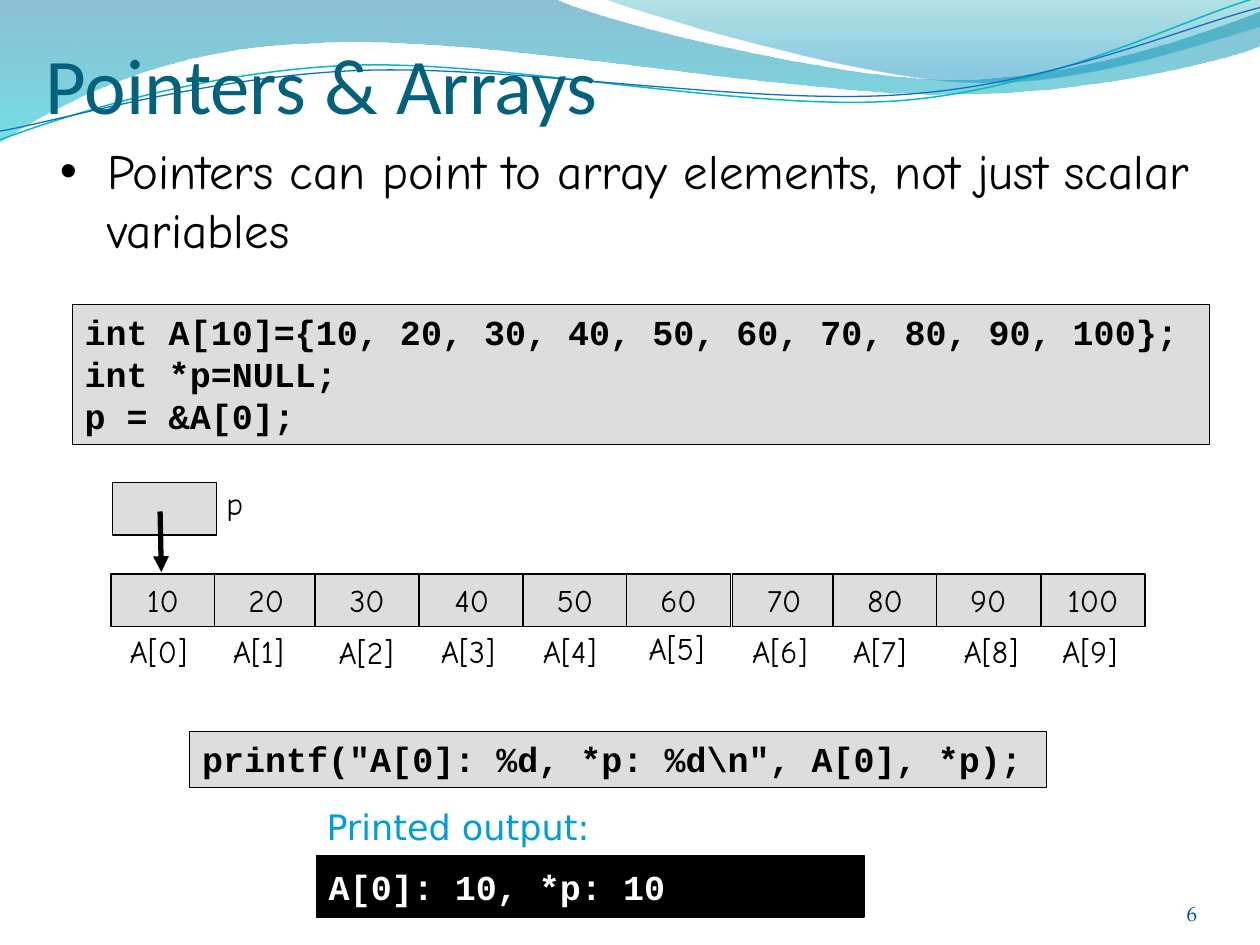
from dataclasses import dataclass

import pptx
import pptx.dml.color
import pptx.enum.shapes
import pptx.enum.text
import pptx.oxml
import pptx.oxml.ns
import pptx.util

Pt = pptx.util.Pt
Align = pptx.enum.text.PP_ALIGN
Anchor = pptx.enum.text.MSO_ANCHOR


@dataclass(frozen=True)
class Type:
    font: str
    size: float
    color: str
    bold: bool = False


@dataclass(frozen=True)
class Theme:
    panel: str = "DDDDDD"
    ink: str = "000000"
    upper_wave: tuple = (("0074A1", 45), ("00C6CF", 55), 1)
    lower_wave: tuple = (("00A1A9", 30), ("008BBF", 45), 0.8)
    teal_line: str = "0AB8BF"
    blue_line: str = "0F6FC6"
    bullet_font: str = "Arial"
    title: Type = Type("Calibri", 45, "04617B")
    body: Type = Type("Comic Neue", 28, "000000")
    label: Type = Type("Comic Neue", 18, "000000")
    code: Type = Type("Courier New", 20, "000000", True)
    console: Type = Type("Courier New", 20, "FFFFFF", True)
    caption: Type = Type("DejaVu Sans", 20, "009DD9")
    number: Type = Type("TeX Gyre Pagella", 12, "045D75")


@dataclass(frozen=True)
class Box:
    left: float
    top: float
    width: float
    height: float

    def inner(self, left, top, width, height):
        return Box(self.left + left, self.top + top, width, height)

    def lengths(self):
        return [Pt(value) for value in (self.left, self.top, self.width, self.height)]


THEME = Theme()


def rgb(value):
    return pptx.dml.color.RGBColor.from_string(value)


def new_element(parent, tag, **attributes):
    return parent.makeelement(pptx.oxml.ns.qn(tag), attributes)


def write(shape, lines, style, anchor=Anchor.TOP, align=Align.LEFT, wrap=True, margins=None):
    frame = shape.text_frame
    frame.word_wrap = wrap
    frame.vertical_anchor = anchor
    if margins:
        frame.margin_left, frame.margin_top, frame.margin_right, frame.margin_bottom = map(Pt, margins)
    frame.text = "\n".join(lines)
    for para in frame.paragraphs:
        para.alignment = align
        para.font.name = style.font
        para.font.size = Pt(style.size)
        para.font.bold = style.bold
        para.font.color.rgb = rgb(style.color)
    return frame


def add_text(page, box, text, style, **layout):
    return write(page.shapes.add_textbox(*box.lengths()), [text], style, **layout)


def add_panel(page, box, lines=(), style=THEME.code, fill=THEME.panel, **layout):
    shape = page.shapes.add_shape(pptx.enum.shapes.MSO_SHAPE.RECTANGLE, *box.lengths())
    shape.shadow.inherit = False
    shape.fill.solid()
    shape.fill.fore_color.rgb = rgb(fill)
    shape.line.color.rgb = rgb(THEME.ink)
    shape.line.width = Pt(0.75)
    if lines:
        write(shape, lines, style, **layout)


def add_outline(page, box, start, segments, closed):
    points = [start] + [point for segment in segments for point in segment]
    placed = [(Pt(box.left + x), Pt(box.top + y)) for x, y in points]
    builder = page.shapes.build_freeform(*placed[0])
    builder.add_line_segments(placed[1:], close=closed)
    shape = builder.convert_to_shape()
    shape.shadow.inherit = False
    corners = iter(list(shape._element.spPr.iter(pptx.oxml.ns.qn("a:lnTo"))))
    for segment in segments:
        steps = [next(corners) for point in segment]
        if len(steps) == 3:
            curve = new_element(steps[0], "a:cubicBezTo")
            steps[0].addprevious(curve)
            for step in steps:
                curve.append(step[0])
                step.getparent().remove(step)
    return shape


def add_wave(page, box, start, segments, gradient):
    shape = add_outline(page, box, start, segments, True)
    shape.line.fill.background()
    shape.fill.gradient()
    shape.fill.gradient_angle = 270
    first, last, end = gradient
    for stop, (color, opacity), position in zip(shape.fill.gradient_stops, (first, last), (0, end)):
        stop.color.rgb = rgb(color)
        stop.position = position
    colors = shape._element.spPr.iter(pptx.oxml.ns.qn("a:srgbClr"))
    for element, (color, opacity) in zip(colors, (first, last)):
        element.append(new_element(element, "a:alpha", val=str(opacity * 1000)))


def add_ripple(page, box, start, segments, color, width):
    shape = add_outline(page, box, start, segments, False)
    shape.fill.background()
    shape.line.color.rgb = rgb(color)
    shape.line.width = Pt(width)


def draw_waves(page, box):
    add_wave(page, box, (0, 0), [
        [(316.8, -0.7)],
        [(342.7, 12.2), (478.1, 45.4), (545.8, 45.4)],
        [(614.2, 45.4), (689.8, 18.7), (720, 6.5)],
        [(720.7, 25.9)],
        [(709.2, 31.7), (626.4, 54.7), (537.1, 54)],
        [(447.8, 54), (275, 20.2), (185, 24.5)],
        [(92.9, 25.9), (33.1, 59.8), (-0.7, 81.4)],
    ], THEME.upper_wave)
    add_wave(page, box, (344.9, -0.7), [
        [(366.5, 7.9), (491, 44.6), (553.7, 46.8)],
        [(616.3, 49.7), (691.9, 23), (720, 15.1)],
        [(720, 0)],
    ], THEME.lower_wave)
    add_ripple(page, box, (0, 79.9), [
        [(34.6, 67), (113.8, 41), (199.4, 37.4)],
        [(284.4, 33.8), (427, 64.1), (513.4, 57.6)],
        [(599.8, 51.1), (675.4, 10.8), (718.6, -1.4)],
    ], THEME.teal_line, 0.85)
    add_ripple(page, box, (0, 74.9), [
        [(33.8, 69.1), (118.1, 43.9), (203.8, 40.3)],
        [(290.2, 36.7), (429.8, 60.5), (516.2, 54)],
        [(601.9, 48.2), (677.5, 15.1), (720, 4.3)],
    ], THEME.blue_line, 0.75)


def draw_bullet(page, box, text):
    para = add_text(page, box, text, THEME.body).paragraphs[0]
    para.space_before = Pt(5.6)
    properties = para._p.get_or_add_pPr()
    properties.set("marL", str(Pt(27)))
    properties.set("indent", str(-Pt(27)))
    run_defaults = properties.find(pptx.oxml.ns.qn("a:defRPr"))
    run_defaults.addprevious(new_element(properties, "a:buFont", typeface=THEME.bullet_font))
    run_defaults.addprevious(new_element(properties, "a:buChar", char="•"))


def draw_array(page, box, values):
    cell_lefts = (0, 59, 116.6, 176.4, 235.4, 294.5, 355, 412.6, 471.6, 531.4)
    label_lefts = (3.6, 62.6, 123.1, 181.4, 239.8, 300.2, 359.3, 416.9, 480.2, 536.4)
    label_shifts = {2: 0.7, 5: -1.4}
    for left, value in zip(cell_lefts, values):
        add_panel(page, box.inner(left, 0, 59.5, 30), [str(value)], THEME.label,
                  anchor=Anchor.MIDDLE, align=Align.CENTER, wrap=False)
    for index, left in enumerate(label_lefts):
        top = 29.5 + label_shifts.get(index, 0)
        add_text(page, box.inner(left, top, 52, 29), f"A[{index}]", THEME.label, wrap=False)


def draw_pointer(page, box):
    add_panel(page, box.inner(0, 0, 59.5, 30))
    ends = [Pt(value) for value in (box.left + 27.4, box.top + 16.5, box.left + 28.1, box.top + 51.1)]
    arrow = page.shapes.add_connector(pptx.enum.shapes.MSO_CONNECTOR.STRAIGHT, *ends)
    arrow.line.color.rgb = rgb(THEME.ink)
    arrow.line.width = Pt(3)
    outline = arrow.line._get_or_add_ln()
    outline.append(new_element(outline, "a:tailEnd", type="triangle"))
    outline.addnext(new_element(outline, "a:effectLst"))
    add_text(page, box.inner(58.2, -3, 24.5, 29), "p", THEME.label, wrap=False)


def draw_output(page, box):
    add_text(page, box.inner(0, 0, 167, 31), "Printed output:", THEME.caption, wrap=False)
    add_panel(page, box.inner(1.3, 31.7, 313, 35.3), ["A[0]: 10, *p: 10"], THEME.console,
              fill=THEME.ink, anchor=Anchor.MIDDLE)


def main():
    deck = pptx.Presentation()
    deck.slide_width, deck.slide_height = Pt(720), Pt(540)
    page = deck.slides.add_slide(deck.slide_layouts[6])
    draw_waves(page, Box(0, 0, 720, 82))
    add_text(page, Box(26.2, 21.6, 648, 52.6), "Pointers & Arrays", THEME.title,
             anchor=Anchor.BOTTOM, margins=(0, 3.6, 0, 0))
    add_text(page, Box(624, 500.4, 60, 28.8), "6", THEME.number,
             anchor=Anchor.BOTTOM, align=Align.RIGHT, margins=(0, 0, 0, 0))
    draw_bullet(page, Box(27.2, 77, 664, 76.3),
                "Pointers can point to array elements, not just scalar variables")
    values = range(10, 101, 10)
    listing = ", ".join(map(str, values))
    add_panel(page, Box(41.3, 174, 650, 80), [f"int A[10]={{{listing}}};", "int *p=NULL;", "p = &A[0];"])
    draw_array(page, Box(63.4, 328, 592, 59), values)
    draw_pointer(page, Box(64.1, 275.8, 83, 52))
    add_panel(page, Box(108.4, 418, 489.6, 32), [r'printf("A[0]: %d, *p: %d\n", A[0], *p);'])
    draw_output(page, Box(179.5, 457, 315, 67))
    deck.save("out.pptx")


if __name__ == "__main__":
    main()
